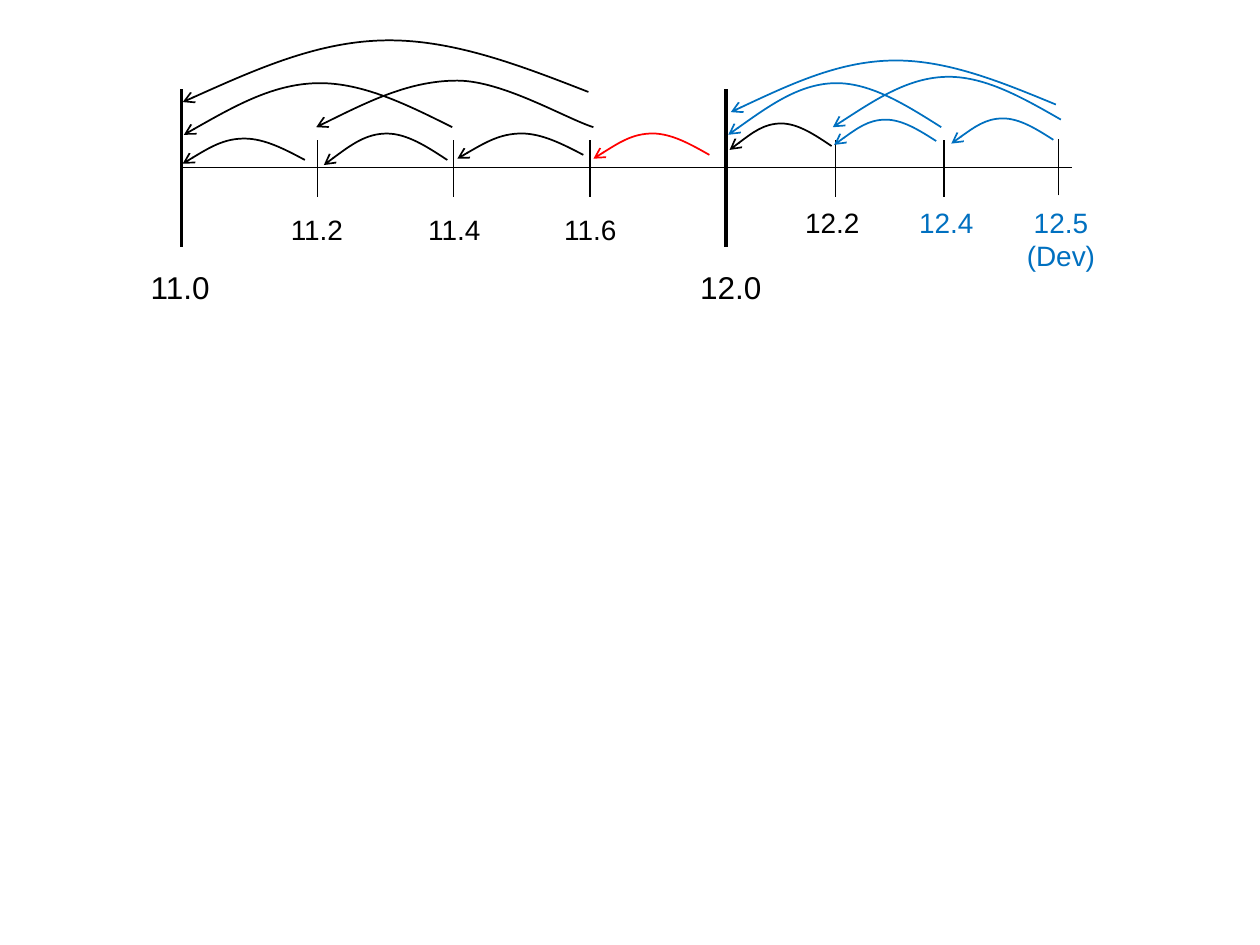
from lxml.etree import SubElement
from pptx import Presentation
from pptx.dml.color import RGBColor
from pptx.enum.shapes import MSO_CONNECTOR
from pptx.enum.text import MSO_AUTO_SIZE, PP_ALIGN
from pptx.oxml.ns import qn
from pptx.util import Inches, Pt

BLACK = RGBColor(0x00, 0x00, 0x00)
RED = RGBColor(0xFF, 0x00, 0x00)
BLUE = RGBColor(0x00, 0x70, 0xC0)

deck = Presentation()
deck.slide_width, deck.slide_height = Inches(10), Inches(7.5)
timeline = deck.slides.add_slide(deck.slide_layouts[6])

strokes = [((1.44, 1.33), (8.51, 1.33), 1)]
strokes += [((x, 0.71), (x, 1.96), 2) for x in (1.44, 5.76)]
strokes += [((x, 1.56), (x, 1.11), 1) for x in (2.52, 3.6, 4.68, 6.63, 7.49)]
strokes += [((8.4, 1.55), (8.4, 1.1), 1)]
for start, end, weight in strokes:
    stroke = timeline.shapes.add_connector(
        MSO_CONNECTOR.STRAIGHT, *map(Inches, start + end))
    stroke.line.color.rgb = BLACK
    stroke.line.width = Pt(weight)
    SubElement(stroke.element.spPr, qn("a:effectLst"))

releases = [
    ("11.0", 1.07, 2.08, 0.72, 0.4, 18, BLACK),
    ("12.0", 5.44, 2.08, 0.72, 0.4, 18, BLACK),
    ("11.2", 2.19, 1.64, 0.65, 0.37, 16, BLACK),
    ("11.4", 3.28, 1.64, 0.65, 0.37, 16, BLACK),
    ("11.6", 4.36, 1.64, 0.65, 0.37, 16, BLACK),
    ("12.2", 6.28, 1.58, 0.65, 0.37, 16, BLACK),
    ("12.4", 6.8, 1.58, 1.42, 0.37, 16, BLUE),
    ("12.5\n(Dev)", 7.71, 1.58, 1.42, 0.64, 16, BLUE),
]
for version, left, top, width, height, size, color in releases:
    release = timeline.shapes.add_textbox(*map(Inches, (left, top, width, height)))
    frame = release.text_frame
    frame.text = version
    frame.word_wrap = color == BLUE
    frame.auto_size = MSO_AUTO_SIZE.SHAPE_TO_FIT_TEXT
    for paragraph in frame.paragraphs:
        paragraph.alignment = PP_ALIGN.CENTER
        paragraph.font.color.rgb = color
        for attribute, setting in {"name": "Arial", "size": Pt(size)}.items():
            setattr(paragraph.font, attribute, setting)

# Start, peak and end of each upgrade arc, with an optional first control point.
upgrades = [
    (BLACK, (2.42, 1.27), (1.94, 1.1), (1.45, 1.3)),
    (BLACK, (3.59, 1.01), (2.54, 0.66), (1.46, 1.07)),
    (BLACK, (4.67, 0.73), (3.09, 0.32), (1.45, 0.81)),
    (BLACK, (3.55, 1.27), (3.07, 1.06), (2.57, 1.31)),
    (BLACK, (4.63, 1.23), (4.14, 1.06), (3.63, 1.26)),
    (BLACK, (4.71, 1.01), (3.63, 0.64), (2.51, 1.01), (4.49, 0.94)),
    (RED, (5.63, 1.23), (5.18, 1.06), (4.71, 1.26)),
    (BLUE, (7.47, 1.01), (6.64, 0.66), (5.78, 1.07)),
    (BLUE, (7.43, 1.12), (7.03, 0.95), (6.62, 1.15)),
    (BLUE, (8.38, 0.83), (7.11, 0.48), (5.8, 0.89)),
    (BLUE, (8.36, 1.11), (7.96, 0.94), (7.55, 1.14)),
    (BLUE, (8.42, 0.95), (7.53, 0.61), (6.61, 1.01)),
    (BLACK, (6.6, 1.16), (6.2, 0.98), (5.79, 1.19)),
]
for color, start, peak, end, *lead in upgrades:
    rise, fall = peak[0] - start[0], end[0] - peak[0]
    first = lead[0] if lead else (start[0] + rise / 3, (start[1] + peak[1]) / 2)
    points = [
        first,
        (start[0] + rise * 2 / 3, peak[1]),
        peak,
        (peak[0] + fall / 3, peak[1]),
        (peak[0] + fall * 2 / 3, (peak[1] + end[1]) / 2),
        end,
    ]
    builder = timeline.shapes.build_freeform(*map(Inches, start))
    builder.add_line_segments([tuple(map(Inches, p)) for p in points], close=False)
    arc = builder.convert_to_shape()
    arc.fill.background()
    arc.shadow.inherit = False
    arc.line.color.rgb = color
    arc.line.width = Pt(1)
    SubElement(arc.element.spPr.find(qn("a:ln")), qn("a:tailEnd"), type="arrow")

    outline = next(arc.element.iter(qn("a:path")))
    segments = outline.findall(qn("a:lnTo"))
    for index, segment in enumerate(segments):
        if index % 3 == 0:
            curve = SubElement(outline, qn("a:cubicBezTo"))
        curve.append(segment[0])
        outline.remove(segment)

deck.save("out.pptx")
